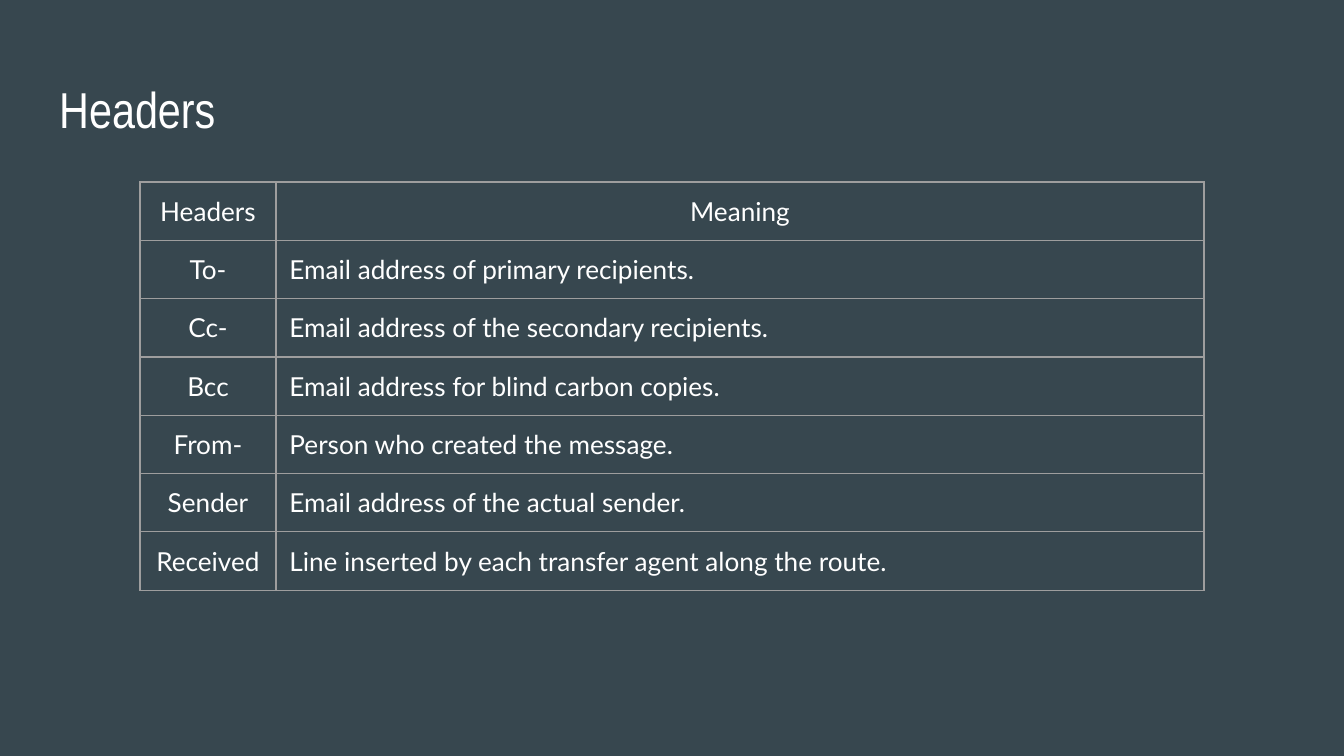
from lxml import etree
from pptx import Presentation
from pptx.dml.color import RGBColor
from pptx.enum.text import MSO_ANCHOR, PP_ALIGN
from pptx.oxml.ns import qn
from pptx.util import Pt

LEFT, CENTER = PP_ALIGN.LEFT, PP_ALIGN.CENTER
MIDDLE = MSO_ANCHOR.MIDDLE

TITLE = "Headers"
ROWS = [
    ("Headers", "Meaning"),
    ("To-", "Email address of primary recipients."),
    ("Cc-", "Email address of the secondary recipients."),
    ("Bcc", "Email address for blind carbon copies."),
    ("From-", "Person who created the message."),
    ("Sender", "Email address of the actual sender."),
    ("Received", "Line inserted by each transfer agent along the route."),
]
BACKGROUND, WHITE, GRID = "37474F", "FFFFFF", "9E9E9E"

SLIDE_W, SLIDE_H = 1344, 756
TITLE_BOX = (46, 66, 1252, 84)
TABLE_X, TABLE_Y, TABLE_H = 140, 182, 407
COL_WIDTHS = (136, 928)
INSET = 13.44


def px(n):
    return round(n * 914400 / 134.4)


def rgb(color):
    return RGBColor.from_string(color)


def write(tf, text, font, size, align=LEFT):
    p = tf.paragraphs[0]
    p.alignment = align
    r = p.add_run()
    r.text = text
    r.font.name = font
    r.font.size = Pt(size)
    r.font.color.rgb = rgb(WHITE)


def set_insets(box):
    box.margin_left = box.margin_right = px(INSET)
    box.margin_top = box.margin_bottom = px(INSET)
    box.vertical_anchor = MIDDLE


def add_borders(cell, color, width):
    """Outline all four sides; border elements must precede the cell fill."""
    tc_pr = cell._tc.get_or_add_tcPr()
    for i, side in enumerate(("a:lnL", "a:lnR", "a:lnT", "a:lnB")):
        ln = etree.Element(qn(side), w=str(Pt(width)))
        fill = etree.SubElement(ln, qn("a:solidFill"))
        etree.SubElement(fill, qn("a:srgbClr"), val=color)
        tc_pr.insert(i, ln)


def add_title(s):
    tf = s.shapes.add_textbox(*map(px, TITLE_BOX)).text_frame
    tf.word_wrap = True
    set_insets(tf)
    write(tf, TITLE, "Arial Narrow", 27)


def add_header_table(s):
    table = s.shapes.add_table(
        len(ROWS), len(COL_WIDTHS), px(TABLE_X), px(TABLE_Y),
        px(sum(COL_WIDTHS)), px(TABLE_H)).table
    table.first_row = table.horz_banding = False
    for column, width in zip(table.columns, COL_WIDTHS):
        column.width = px(width)
    for i, texts in enumerate(ROWS):
        table.rows[i].height = px(TABLE_H / len(ROWS))
        for j, text in enumerate(texts):
            cell = table.cell(i, j)
            set_insets(cell)
            cell.fill.background()
            add_borders(cell, GRID, 0.75)
            align = CENTER if i == 0 or j == 0 else LEFT
            write(cell.text_frame, text, "Lato", 14, align)


def main():
    prs = Presentation()
    prs.slide_width, prs.slide_height = px(SLIDE_W), px(SLIDE_H)
    s = prs.slides.add_slide(prs.slide_layouts[6])
    s.background.fill.solid()
    s.background.fill.fore_color.rgb = rgb(BACKGROUND)
    add_title(s)
    add_header_table(s)
    prs.save("out.pptx")


if __name__ == "__main__":
    main()
